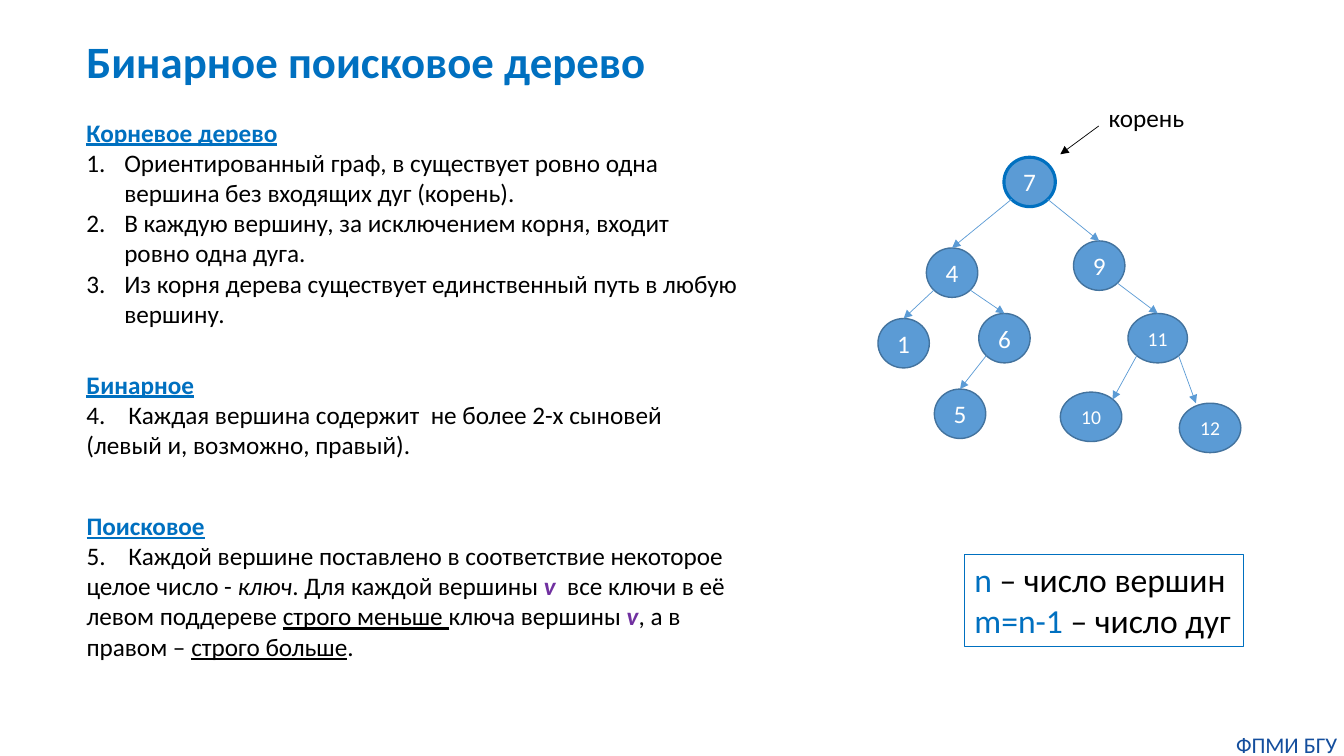
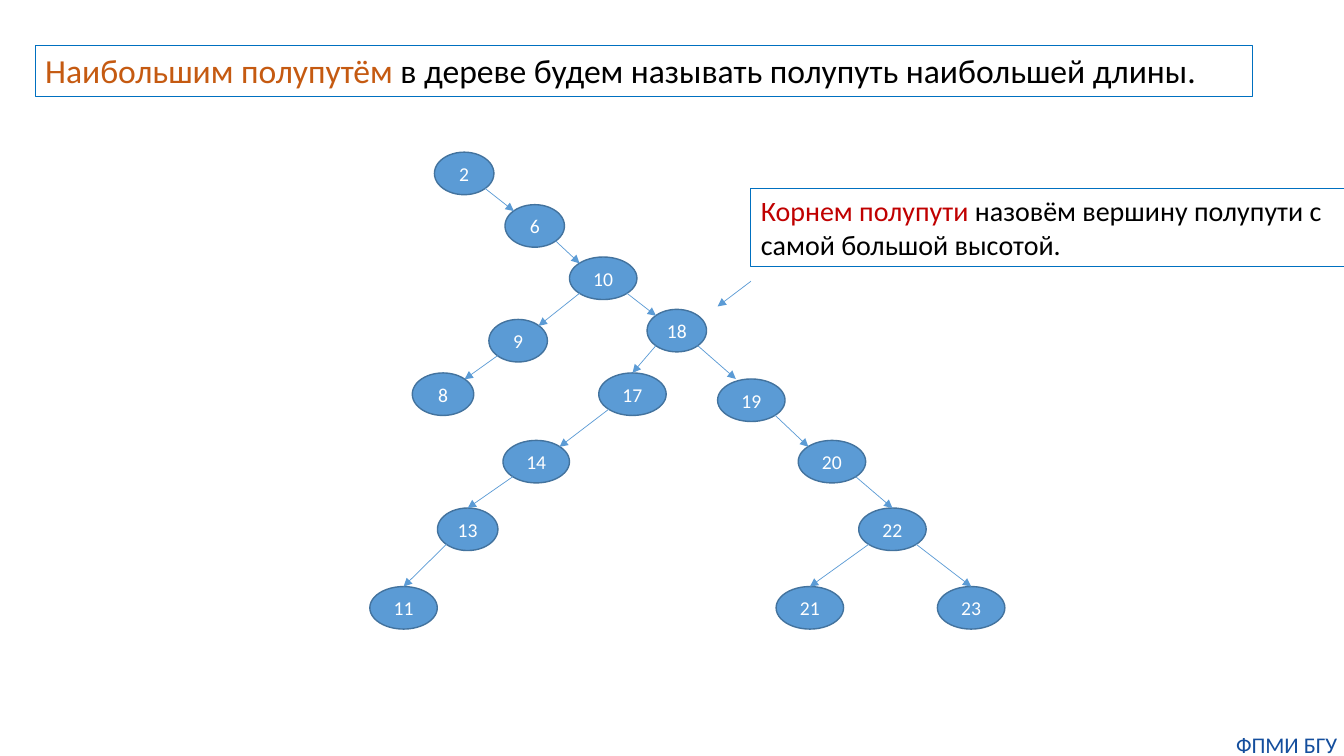
import lxml.etree
import pptx
import pptx.dml.color
import pptx.enum.shapes
import pptx.enum.text
import pptx.oxml.ns
import pptx.util

Pt = pptx.util.Pt
Shapes = pptx.enum.shapes.MSO_SHAPE
Align = pptx.enum.text.PP_ALIGN
Anchor = pptx.enum.text.MSO_ANCHOR

FONT = "Calibri"
BLACK, WHITE, BLUE = "000000", "FFFFFF", "0070C0"
NODE_FILL, NODE_EDGE, FOOTER_BLUE = "5B9BD5", "43739E", "144E9D"
ORANGE, RED, PURPLE = "C55A11", "C00000", "7030A0"

FOOTER = "ФПМИ БГУ"
TITLE = "Бинарное поисковое дерево"

# A paragraph is a list of runs: (text, style).
PLAIN = {}
HEADING = {"color": BLUE, "bold": True, "underline": True}
TERM = {"italic": True}
VERTEX = {"color": PURPLE, "bold": True, "italic": True}
STRESS = {"underline": True}

ROOTED = [
    [("Корневое дерево", HEADING)],
    [("Ориентированный граф, в существует ровно одна вершина без входящих дуг (корень).", PLAIN)],
    [("В каждую вершину, за исключением корня, входит ровно одна дуга.", PLAIN)],
    [("Из корня дерева существует единственный путь в любую вершину.", PLAIN)],
]
BINARY = [
    [("Бинарное", HEADING)],
    [("4.    Каждая вершина содержит  не более 2-х сыновей (левый и, возможно, правый).", PLAIN)],
]
SEARCH = [
    [("Поисковое", HEADING)],
    [
        ("5.    Каждой вершине поставлено в соответствие некоторое целое число - ", PLAIN),
        ("ключ", TERM),
        (". Для каждой вершины ", PLAIN),
        ("v ", VERTEX),
        (" все ключи в её левом поддереве ", PLAIN),
        ("строго меньше ", STRESS),
        ("ключа вершины ", PLAIN),
        ("v", VERTEX),
        (", а в правом – ", PLAIN),
        ("строго больше", STRESS),
        (".", PLAIN),
    ],
]
COUNTS = [
    [("n ", {"color": BLUE}), ("– число вершин", PLAIN)],
    [("m=n-1", {"color": BLUE}), (" – число дуг", PLAIN)],
]
LONGEST = [[
    ("Наибольшим полупутём ", {"color": ORANGE}),
    ("в дереве будем называть полупуть наибольшей длины.", PLAIN),
]]
PATH_ROOT = [[
    ("Корнем полупути ", {"color": RED}),
    ("назовём вершину полупути с самой большой высотой.", PLAIN),
]]

# Where an arrow enters a node, as fractions of its box, for a right child.
TOP, CORNER, SHOULDER = (0.5, 0), (0.15, 0.15), (0.27, 0)

# key: (parent, left, top, width, entry)
SMALL_TREE = {
    7: (None, 717.1, 112.3, 36.7, None),
    4: (7, 661.7, 177.1, 36.7, TOP),
    9: (7, 766.8, 172.1, 36.7, TOP),
    1: (4, 627.1, 227.5, 36.7, TOP),
    6: (4, 699.1, 223.9, 36.7, TOP),
    5: (6, 667.4, 277.9, 36.7, TOP),
    11: (9, 805.7, 223.9, 42.5, TOP),
    10: (11, 757.4, 280.1, 43.9, CORNER),
    12: (11, 842.4, 288, 43.9, SHOULDER),
}
LARGE_TREE = {
    2: (None, 310.3, 108.7, 42.5, None),
    6: (2, 360.7, 146.2, 42.5, CORNER),
    10: (6, 406.8, 183.6, 48.2, CORNER),
    9: (10, 349.2, 228.2, 41.8, CORNER),
    8: (9, 294.5, 266.4, 43.9, CORNER),
    18: (10, 462.2, 221, 42.5, CORNER),
    17: (18, 427.7, 266.4, 48.2, TOP),
    14: (17, 359.3, 314.6, 47.5, CORNER),
    13: (14, 312.5, 362.9, 43.2, TOP),
    11: (13, 264.2, 419, 48.2, TOP),
    19: (18, 512.6, 270.7, 48.2, SHOULDER),
    20: (19, 570.2, 314.6, 48.2, CORNER),
    22: (20, 613.4, 362.9, 48.2, TOP),
    21: (22, 554.4, 419, 48.2, TOP),
    23: (22, 669.6, 419, 48.2, TOP),
}


def rgb(value):
    return pptx.dml.color.RGBColor.from_string(value)


def add_element(parent, tag, **attributes):
    return lxml.etree.SubElement(parent, pptx.oxml.ns.qn(tag), **attributes)


def style_run(run, size, color=BLACK, bold=False, italic=False, underline=False):
    font = run.font
    font.name, font.size = FONT, Pt(size)
    font.bold, font.italic, font.underline = bold, italic, underline
    font.color.rgb = rgb(color)


def number_paragraph(paragraph):
    properties = paragraph._p.get_or_add_pPr()
    properties.set("marL", str(Pt(27)))
    properties.set("indent", str(-Pt(27)))
    add_element(properties, "a:buAutoNum", type="arabicPeriod")


def fill_text(frame, paragraphs, size, align=Align.LEFT, numbered=False):
    """Write the runs; numbered makes a list of every paragraph but the first."""
    for index, runs in enumerate(paragraphs):
        paragraph = frame.add_paragraph() if index else frame.paragraphs[0]
        if numbered and index:
            number_paragraph(paragraph)
        paragraph.alignment = align
        for text, style in runs:
            run = paragraph.add_run()
            run.text = text
            style_run(run, size, **style)


def clear_margins(frame):
    frame.margin_left = frame.margin_right = frame.margin_top = frame.margin_bottom = 0


def add_text(slide, box, paragraphs, size, wrap=True, **options):
    area = slide.shapes.add_textbox(*map(Pt, box))
    area.text_frame.word_wrap = wrap
    fill_text(area.text_frame, paragraphs, size, **options)
    return area


def add_framed_text(slide, box, paragraphs, size, wrap=True):
    frame = add_text(slide, box, paragraphs, size, wrap)
    frame.line.color.rgb = rgb(BLUE)
    frame.line.width = Pt(0.75)


def add_arrow(slide, start, end, color=NODE_FILL):
    arrow = slide.shapes.add_connector(
        pptx.enum.shapes.MSO_CONNECTOR.STRAIGHT, *map(Pt, (*start, *end)))
    arrow.line.color.rgb = rgb(color)
    arrow.line.width = Pt(0.5)
    add_element(arrow.line._get_or_add_ln(), "a:tailEnd", type="triangle")
    add_element(arrow._element.spPr, "a:effectLst")


def add_node(slide, key, box, highlighted):
    node = slide.shapes.add_shape(Shapes.OVAL, *map(Pt, box))
    node.shadow.inherit = False
    node.fill.solid()
    node.fill.fore_color.rgb = rgb(NODE_FILL)
    node.line.color.rgb = rgb(BLUE if highlighted else NODE_EDGE)
    node.line.width = Pt(2.25 if highlighted else 1)
    frame = node.text_frame
    clear_margins(frame)
    frame.word_wrap = False
    frame.vertical_anchor = Anchor.MIDDLE
    size = 18 if box[2] < 40 else 14
    fill_text(frame, [[(str(key), {"color": WHITE})]], size, Align.CENTER)


def add_tree(slide, tree, height, highlighted=None):
    """Draw a search tree; smaller keys hang from the left side of a parent."""
    def point(key, across, down):
        _, left, top, width, _ = tree[key]
        return left + across * width, top + down * height

    for key, (_, left, top, width, _) in tree.items():
        add_node(slide, key, (left, top, width, height), key == highlighted)
    for key, (parent, _, _, _, entry) in tree.items():
        if parent is None:
            continue
        across, down = entry
        if key < parent:
            add_arrow(slide, point(parent, 0.15, 0.85), point(key, 1 - across, down))
        else:
            add_arrow(slide, point(parent, 0.85, 0.85), point(key, across, down))


def new_slide(deck):
    slide = deck.slides.add_slide(deck.slide_layouts[6])
    footer = add_text(slide, (878.4, 522, 81.4, 19.4),
                      [[(FOOTER, {"color": FOOTER_BLUE})]], 16, align=Align.CENTER)
    clear_margins(footer.text_frame)
    return slide


def add_definition_slide(deck):
    slide = new_slide(deck)
    title = add_text(slide, (54.7, 24.5, 429, 41.8),
                     [[(TITLE, {"color": BLUE, "bold": True})]], 32)
    title.text_frame.vertical_anchor = Anchor.BOTTOM
    title.text_frame.paragraphs[0].line_spacing = 0.9
    add_text(slide, (54.7, 79.9, 480.2, 159.8), ROOTED, 18, numbered=True)
    add_text(slide, (54.7, 259.9, 480.2, 72.7), BINARY, 18)
    add_text(slide, (54.7, 360.7, 483.1, 116.6), SEARCH, 18)
    add_tree(slide, SMALL_TREE, 35.3, highlighted=7)
    add_text(slide, (784.8, 69.8, 69.1, 28.8), [[("корень", PLAIN)]], 18, wrap=False)
    add_arrow(slide, (784.8, 90), (757.4, 110.2), BLACK)
    add_framed_text(slide, (689, 396, 199.4, 65.5), COUNTS, 24, wrap=False)


def add_longest_path_slide(deck):
    slide = new_slide(deck)
    add_framed_text(slide, (25.2, 32.4, 869.8, 36.4), LONGEST, 24)
    add_tree(slide, LARGE_TREE, 30.4)
    add_framed_text(slide, (536.4, 134.6, 444.2, 55.7), PATH_ROOT, 20)
    add_arrow(slide, (536.4, 200.9), (512.6, 218.9))


def main():
    deck = pptx.Presentation()
    deck.slide_width, deck.slide_height = Pt(960), Pt(540)
    add_definition_slide(deck)
    add_longest_path_slide(deck)
    deck.save("out.pptx")


if __name__ == "__main__":
    main()
